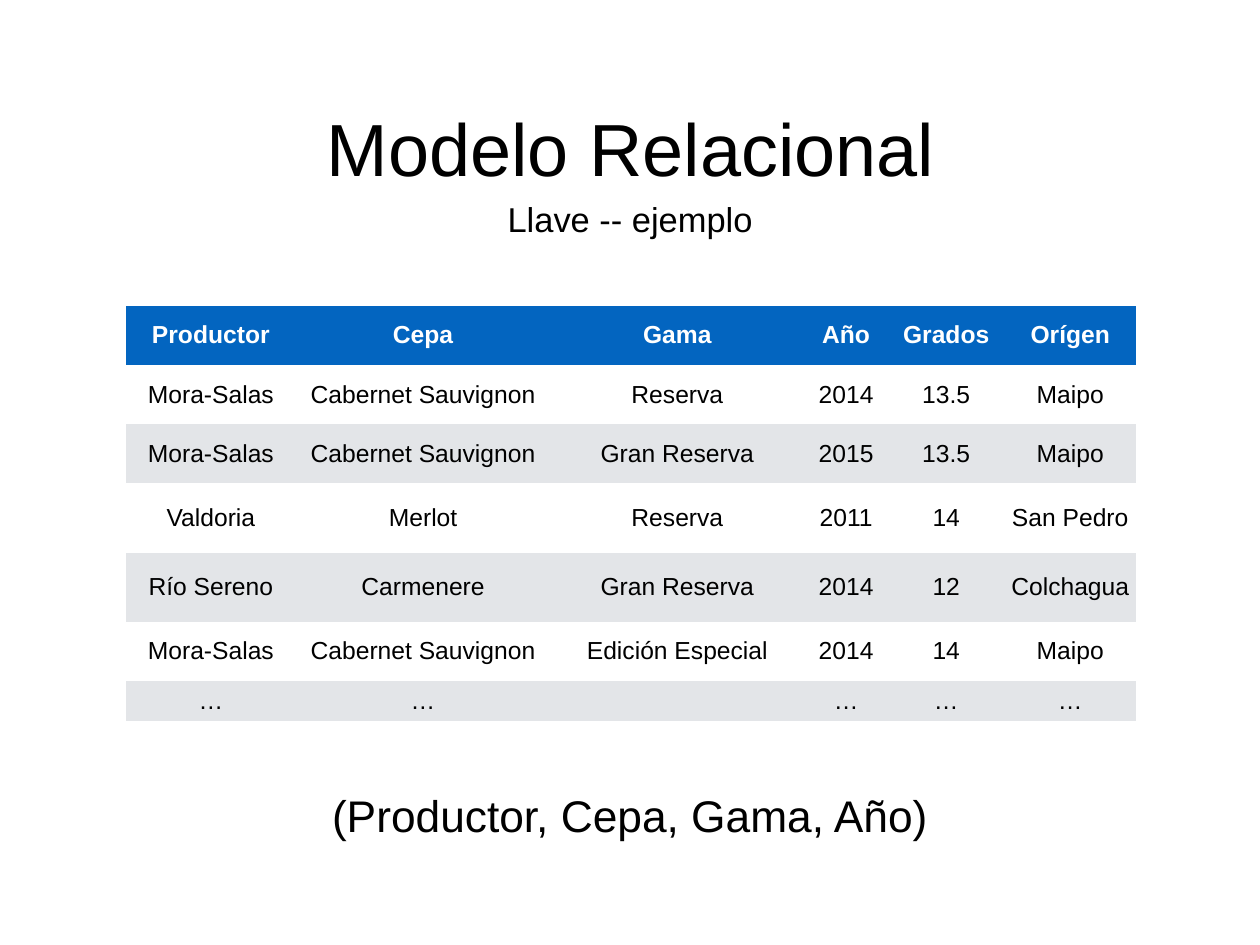
"""Build the relational model slide: a wine table and its key."""
import pptx
import pptx.dml.color
import pptx.enum.text
import pptx.oxml.ns
import pptx.util

Inches = pptx.util.Inches
BLACK = pptx.dml.color.RGBColor(0x00, 0x00, 0x00)
WHITE = pptx.dml.color.RGBColor(0xFF, 0xFF, 0xFF)
HEADER_BLUE = pptx.dml.color.RGBColor(0x03, 0x65, 0xC0)
BAND_GREY = pptx.dml.color.RGBColor(0xE3, 0xE5, 0xE8)
NO_GRID_STYLE = "{2D5ABB26-0587-4C30-8999-92F81FD0307C}"

HEADINGS = [
    ("Modelo Relacional", 60, (3.6, 1.11, 7.03, 1.11)),
    ("Llave -- ejemplo", 28, (4.12, 2.18, 5.98, 0.58)),
    ("(Productor, Cepa, Gama, Año)", 36, (0.44, 8.84, 13.34, 0.72)),
]
WINES = [
    ("Productor", "Cepa", "Gama", "Año", "Grados", "Orígen"),
    ("Mora-Salas", "Cabernet Sauvignon", "Reserva", "2014", "13.5", "Maipo"),
    ("Mora-Salas", "Cabernet Sauvignon", "Gran Reserva", "2015", "13.5", "Maipo"),
    ("Valdoria", "Merlot", "Reserva", "2011", "14", "San Pedro"),
    ("Río Sereno", "Carmenere", "Gran Reserva", "2014", "12", "Colchagua"),
    ("Mora-Salas", "Cabernet Sauvignon", "Edición Especial", "2014", "14", "Maipo"),
    ("…", "…", "", "…", "…", "…"),
]
COLUMN_WIDTHS = [1.92, 2.87, 2.87, 0.94, 1.32, 1.48]
ROW_HEIGHTS = [0.67, 0.67, 0.67, 0.78, 0.78, 0.67, 0.44]
TABLE_LEFT, TABLE_TOP = 1.42, 3.45

FRAME_FORMAT = {
    "margin_left": Inches(0.06),
    "margin_right": Inches(0.06),
    "margin_top": Inches(0.06),
    "margin_bottom": Inches(0.06),
    "vertical_anchor": pptx.enum.text.MSO_ANCHOR.MIDDLE,
}


def write_centred(holder, paragraph, wording, size, color=BLACK, bold=False):
    for attribute, value in FRAME_FORMAT.items():
        setattr(holder, attribute, value)
    paragraph.alignment = pptx.enum.text.PP_ALIGN.CENTER
    if wording:
        run = paragraph.add_run()
        run.text = wording
        run_format = {"name": "Arial", "size": pptx.util.Pt(size), "bold": bold}
        for attribute, value in run_format.items():
            setattr(run.font, attribute, value)
        run.font.color.rgb = color


def add_headings(slide):
    for wording, size, place in HEADINGS:
        frame = slide.shapes.add_textbox(*map(Inches, place)).text_frame
        frame.word_wrap = True
        write_centred(frame, frame.paragraphs[0], wording, size)


def add_wine_table(slide):
    holder = slide.shapes.add_table(
        len(WINES), len(COLUMN_WIDTHS), Inches(TABLE_LEFT), Inches(TABLE_TOP),
        Inches(sum(COLUMN_WIDTHS)), Inches(sum(ROW_HEIGHTS)))
    for style in holder.element.iter(pptx.oxml.ns.qn("a:tableStyleId")):
        style.text = NO_GRID_STYLE
    wines = holder.table
    for column, width in zip(wines.columns, COLUMN_WIDTHS):
        column.width = Inches(width)
    for row, height in zip(wines.rows, ROW_HEIGHTS):
        row.height = Inches(height)
    for row_index, wine in enumerate(WINES):
        is_header = row_index == 0
        band = HEADER_BLUE if is_header else (BAND_GREY, WHITE)[row_index % 2]
        for column_index, wording in enumerate(wine):
            cell = wines.cell(row_index, column_index)
            cell.fill.solid()
            cell.fill.fore_color.rgb = band
            write_centred(cell, cell.text_frame.paragraphs[0], wording, 20,
                          WHITE if is_header else BLACK, is_header)


def main():
    deck = pptx.Presentation()
    deck.slide_width, deck.slide_height = Inches(14.22), Inches(10.67)
    slide = deck.slides.add_slide(deck.slide_layouts[6])
    add_headings(slide)
    add_wine_table(slide)
    deck.save("out.pptx")


if __name__ == "__main__":
    main()
